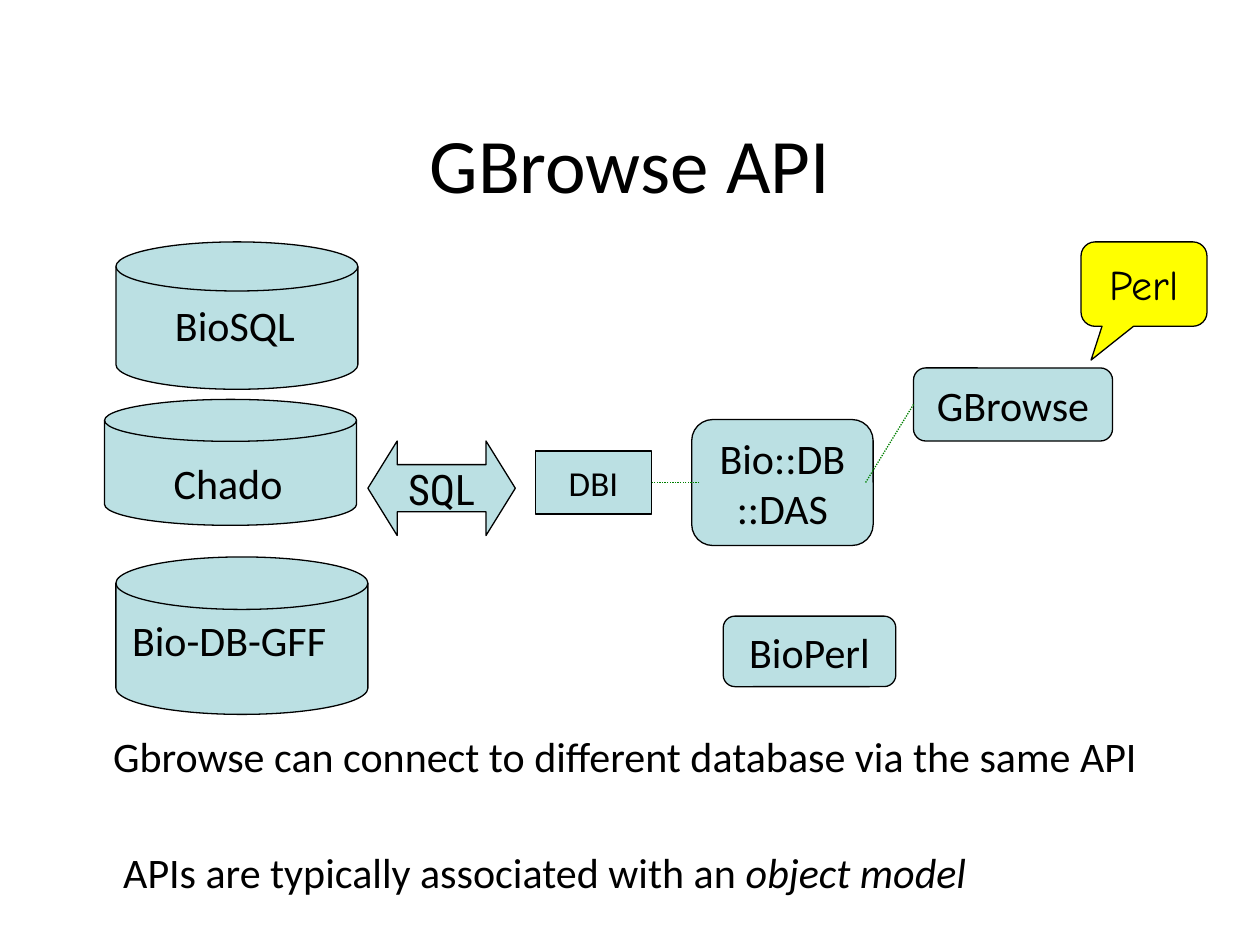
"""Build the GBrowse API slide."""
from dataclasses import dataclass

from lxml import etree
from pptx import Presentation
from pptx.dml.color import RGBColor
from pptx.enum import dml, shapes, text
from pptx.oxml import ns
from pptx.util import Inches, Pt

KIND = shapes.MSO_SHAPE
ALIGN = text.PP_ALIGN


@dataclass(frozen=True)
class Theme:
    ink: RGBColor = RGBColor(0, 0, 0)
    pale: RGBColor = RGBColor(0xBB, 0xE0, 0xE3)
    sun: RGBColor = RGBColor(0xFF, 0xFF, 0)
    link: RGBColor = RGBColor(0, 0x80, 0)
    font: str = "Calibri"
    comic: str = "Comic Neue"
    slim: str = "Roboto Condensed"
    head: int = 44
    body: int = 24
    small: int = 20
    rule: float = 0.75


THEME = Theme()


@dataclass(frozen=True)
class Node:
    kind: KIND
    at: tuple[float, ...]
    label: str = ""
    adj: tuple[float, ...] = ()
    fill: RGBColor = THEME.pale
    font: str = THEME.font
    size: int = THEME.body


@dataclass(frozen=True)
class Label:
    at: tuple[float, ...]
    plain: str
    slant: str = ""


@dataclass(frozen=True)
class Link:
    start: tuple[float, float]
    end: tuple[float, float]


ROUND = (0.167,)
NODES = (
    Node(KIND.FLOWCHART_MAGNETIC_DISK, (0.92, 1.92, 1.92, 1.17)),
    Node(KIND.FLOWCHART_MAGNETIC_DISK, (0.83, 3.17, 2, 1)),
    Node(KIND.FLOWCHART_MAGNETIC_DISK, (0.92, 4.42, 2, 1.25)),
    Node(KIND.LEFT_RIGHT_ARROW, (2.92, 3.5, 1.17, 0.75), "SQL", (0.5, 0.31),
         font=THEME.slim),
    Node(KIND.RECTANGLE, (4.25, 3.58, 0.92, 0.5), "DBI", size=THEME.small),
    Node(KIND.ROUNDED_RECTANGLE, (5.49, 3.33, 1.44, 1), "Bio::DB\n::DAS", ROUND),
    Node(KIND.ROUNDED_RECTANGLE, (7.25, 2.92, 1.58, 0.58), "GBrowse", ROUND),
    Node(KIND.ROUNDED_RECTANGLE, (5.74, 4.89, 1.37, 0.56), "BioPerl", ROUND),
    Node(KIND.ROUNDED_RECTANGULAR_CALLOUT, (8.58, 1.92, 1, 0.67), "Perl",
         (-0.42, 0.9, 0.167), THEME.sun, THEME.comic),
)
LABELS = (
    Label((1.29, 2.33, 1.32, 0.5), "BioSQL"),
    Label((1.28, 3.58, 1.21, 0.5), "Chado"),
    Label((0.95, 4.83, 1.97, 0.5), "Bio-DB-GFF"),
    Label((0.8, 5.75, 9.2, 0.5),
          "Gbrowse can connect to different database via the same API"),
    Label((0.88, 6.67, 7.9, 0.5),
          "APIs are typically associated with an ", "object model"),
)
LINKS = (
    Link((5.55, 3.83), (5.17, 3.83)),
    Link((7.25, 3.21), (6.87, 3.83)),
)


def style(frame, size: int, font: str, align: ALIGN) -> None:
    """Format every run in a text frame."""
    for para in frame.paragraphs:
        para.alignment = align
        for run in para.runs:
            run.font.size = Pt(size)
            run.font.name = font
            run.font.color.rgb = THEME.ink


def draw_node(slide, node: Node) -> None:
    """Draw a filled shape with its centred label."""
    shape = slide.shapes.add_shape(node.kind, *map(Inches, node.at))
    shape.shadow.inherit = False
    shape.fill.solid()
    shape.fill.fore_color.rgb = node.fill
    shape.line.color.rgb = THEME.ink
    shape.line.width = Pt(THEME.rule)
    for i, value in enumerate(node.adj):
        shape.adjustments[i] = value
    if node.label:
        frame = shape.text_frame
        frame.text = node.label
        frame.word_wrap = False
        frame.vertical_anchor = text.MSO_ANCHOR.MIDDLE
        style(frame, node.size, node.font, ALIGN.CENTER)


def draw_label(slide, label: Label) -> None:
    """Draw left-aligned text with an optional italic ending."""
    frame = slide.shapes.add_textbox(*map(Inches, label.at)).text_frame
    frame.word_wrap = True
    frame.text = label.plain
    if label.slant:
        run = frame.paragraphs[0].add_run()
        run.text = label.slant
        run.font.italic = True
    style(frame, THEME.body, THEME.font, ALIGN.LEFT)


def draw_link(slide, link: Link) -> None:
    """Draw a dotted connector."""
    line = slide.shapes.add_connector(
        shapes.MSO_CONNECTOR.STRAIGHT, *map(Inches, link.start + link.end))
    line.line.color.rgb = THEME.link
    line.line.width = Pt(THEME.rule)
    line.line.dash_style = dml.MSO_LINE.ROUND_DOT
    etree.SubElement(line._element.spPr, ns.qn("a:effectLst"))


def draw_title(slide, title: str) -> None:
    """Place the slide title."""
    shape = slide.shapes.title
    shape.left, shape.top, shape.width, shape.height = map(
        Inches, (0.75, 0.67, 8.5, 1.25))
    shape.text_frame.text = title
    shape.text_frame.vertical_anchor = text.MSO_ANCHOR.MIDDLE
    style(shape.text_frame, THEME.head, THEME.font, ALIGN.CENTER)


def main() -> None:
    """Build and save the slide."""
    deck = Presentation()
    deck.slide_width, deck.slide_height = Inches(10), Inches(7.5)
    slide = deck.slides.add_slide(deck.slide_layouts[5])
    draw_title(slide, "GBrowse API")
    for node in NODES:
        draw_node(slide, node)
    for link in LINKS:
        draw_link(slide, link)
    for label in LABELS:
        draw_label(slide, label)
    deck.save("out.pptx")


if __name__ == "__main__":
    main()
